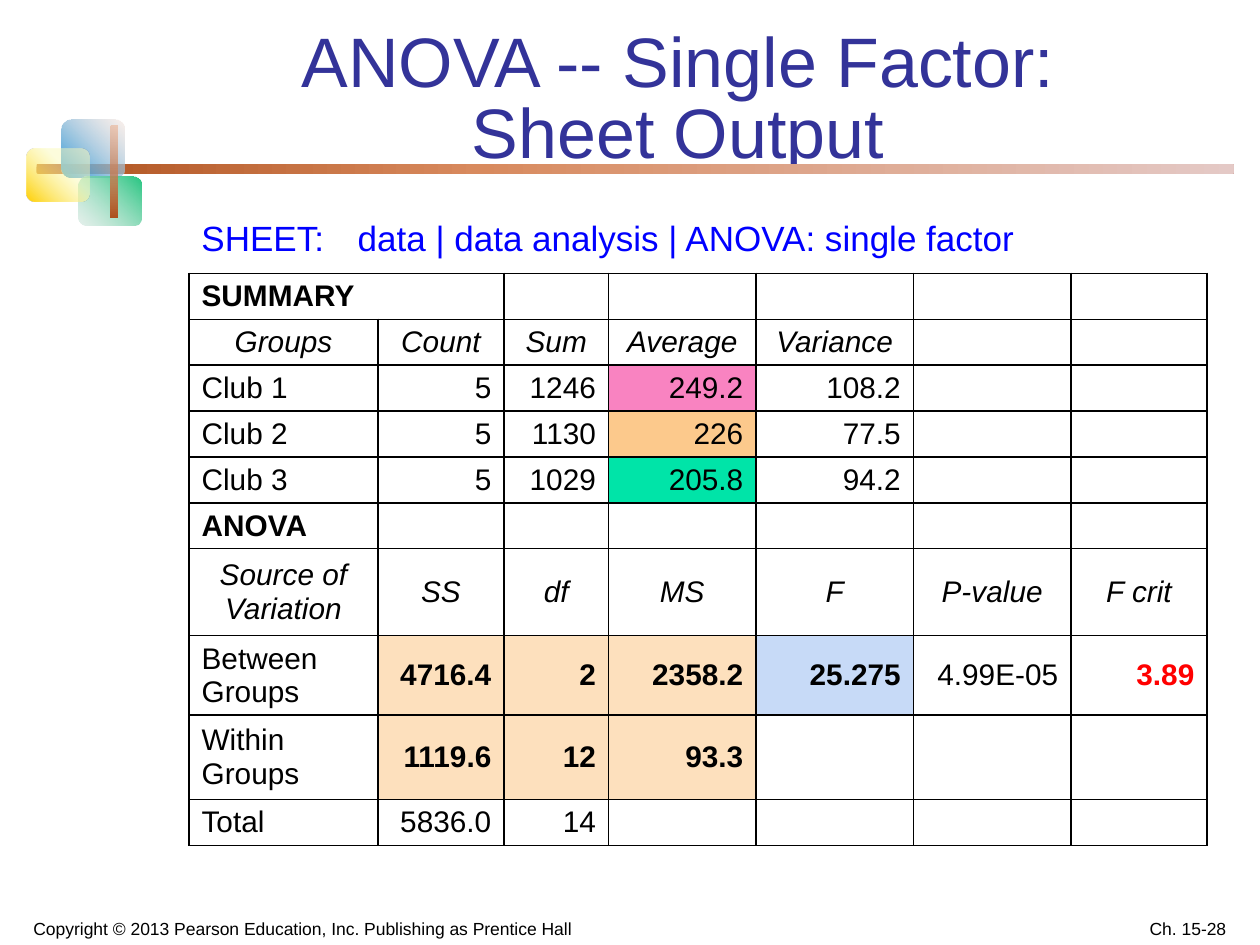
from lxml import etree
from pptx import Presentation
from pptx.dml.color import RGBColor
from pptx.enum.shapes import MSO_SHAPE as Shape
from pptx.enum.text import MSO_ANCHOR as Anchor, PP_ALIGN as Align
from pptx.oxml import parse_xml
from pptx.oxml.ns import nsdecls, qn
from pptx.util import Inches, Pt

# left, top, width, height, angle, stops of (place, colour, opacity)
ORNAMENT = [
    (0.29, 1.3, 9.5, 0.08, 0,
     [(0, "AE511E", 100), (37, "D88A5E", 100), (100, "E4C9C6", 100)]),
    (0.49, 0.95, 0.5, 0.46, 315, [(0, "2895D8", 100), (100, "F7E2D9", 50)]),
    (0.62, 1.4, 0.5, 0.39, 135, [(0, "25C580", 100), (100, "CCE2D9", 50)]),
    (0.21, 1.18, 0.5, 0.42, 315, [(0, "FFCF01", 100), (63, "FCFCBC", 50)]),
    (0.88, 1, 0.05, 0.73, 270, [(0, "AE511E", 100), (100, "EAA782", 50)]),
]
ROWS = [
    ["SUMMARY"],
    ["Groups", "Count", "Sum", "Average", "Variance"],
    ["Club 1", "5", "1246", "249.2", "108.2"],
    ["Club 2", "5", "1130", "226", "77.5"],
    ["Club 3", "5", "1029", "205.8", "94.2"],
    ["ANOVA"],
    ["Source of Variation", "SS", "df", "MS", "F", "P-value", "F crit"],
    ["Between Groups", "4716.4", "2", "2358.2", "25.275", "4.99E-05", "3.89"],
    ["Within\nGroups", "1119.6", "12", "93.3"],
    ["Total", "5836.0", "14"],
]
WIDTHS = [1.5, 1, 0.83, 1.17, 1.25, 1.25, 1.08]
TALL = {6: 0.69, 7: 0.63, 8: 0.67}
LOW = 2.55 / 7  # the seven one-line rows share this height
SECTIONS, HEADS = (0, 5), (1, 6)
CRIT = (7, 6)
FILLS = {(2, 3): "F983C1", (3, 3): "FCC98C", (4, 3): "00E4A8", (7, 4): "C7DAF7"}
FILLS.update({(r, c): "FDE0BD" for r in (7, 8) for c in (1, 2, 3)})


def color(code):
    return RGBColor.from_string(code)


def place(shape, box):
    shape.left, shape.top, shape.width, shape.height = map(Inches, box)


def style(frame, size, code, align, bold=False, italic=False):
    for para in frame.paragraphs:
        para.alignment = align
        for run in para.runs:
            font = run.font
            font.name, font.size = "Arial", Pt(size)
            font.bold, font.italic = bold, italic
            font.color.rgb = color(code)


def shade(shape, angle, stops):
    """Give the shape a gradient whose stops may be see-through."""
    marks = "".join(
        f'<a:gs pos="{pos * 1000}"><a:srgbClr val="{code}">'
        f'<a:alpha val="{alpha * 1000}"/></a:srgbClr></a:gs>'
        for pos, code, alpha in stops)
    grad = parse_xml(f'<a:gradFill {nsdecls("a")} rotWithShape="1"><a:gsLst>{marks}'
                     f'</a:gsLst><a:lin ang="{angle * 60000}" scaled="0"/></a:gradFill>')
    shape._element.spPr.find(qn("a:prstGeom")).addnext(grad)


def add_ornament(slide):
    for *box, angle, stops in ORNAMENT:
        part = slide.shapes.add_shape(Shape.ROUNDED_RECTANGLE, *map(Inches, box))
        part.shadow.inherit = False
        part.line.fill.background()
        shade(part, angle, stops)


def add_title(slide, box):
    title = slide.shapes.title
    place(title, box)
    frame = title.text_frame
    frame.text = "ANOVA -- Single Factor:\nSheet Output"
    frame.vertical_anchor = Anchor.TOP
    style(frame, 40, "333399", Align.CENTER)
    for para in frame.paragraphs:
        para.line_spacing = 0.85


def add_text(slide, box, text, size, code, align, anchor):
    frame = slide.shapes.add_textbox(*map(Inches, box)).text_frame
    frame.word_wrap = True
    frame.vertical_anchor = anchor
    frame.text = text
    style(frame, size, code, align)
    return frame


def add_menu(slide, box):
    frame = add_text(slide, box, "SHEET:\tdata | data analysis | ANOVA: single factor",
                     20, "0000FF", Align.LEFT, Anchor.TOP)
    props = frame.paragraphs[0]._p.get_or_add_pPr()
    tabs = etree.SubElement(props, qn("a:tabLst"))
    etree.SubElement(tabs, qn("a:tab"), pos=str(Inches(1.24)), algn="l")


def rule(cell):
    """Draw a thin black line on each side of the cell."""
    props = cell._tc.get_or_add_tcPr()
    for spot, side in enumerate(("lnL", "lnR", "lnT", "lnB")):
        props.insert(spot, parse_xml(
            f'<a:{side} {nsdecls("a")} w="{Pt(1)}"><a:solidFill>'
            f'<a:srgbClr val="000000"/></a:solidFill></a:{side}>'))


def fill_cell(cell, row, col, text):
    cell.vertical_anchor = Anchor.MIDDLE
    cell.margin_top = cell.margin_bottom = Inches(0.03)
    cell.text = text
    code = FILLS.get((row, col))
    if code:
        cell.fill.solid()
        cell.fill.fore_color.rgb = color(code)
    else:
        cell.fill.background()
    head = row in HEADS
    align = Align.CENTER if head else Align.RIGHT if col else Align.LEFT
    bold = row in SECTIONS or (row, col) == CRIT or (row in (7, 8) and bool(code))
    ink = "FF0000" if (row, col) == CRIT else "000000"
    style(cell.text_frame, 17, ink, align, bold, head)
    rule(cell)


def add_results(slide, left, top):
    heights = [TALL.get(r, LOW) for r in range(len(ROWS))]
    box = left, top, sum(WIDTHS), sum(heights)
    table = slide.shapes.add_table(len(ROWS), len(WIDTHS), *map(Inches, box)).table
    table.first_row = table.horz_banding = False
    for col, width in zip(table.columns, WIDTHS):
        col.width = Inches(width)
    for r, (texts, height) in enumerate(zip(ROWS, heights)):
        table.rows[r].height = Inches(height)
        for c in range(len(WIDTHS)):
            fill_cell(table.cell(r, c), r, c, texts[c] if c < len(texts) else "")
    table.cell(0, 0).merge(table.cell(0, 1))


def add_footer(slide, top, height):
    parts = [
        (0, 4.8, "Copyright © 2013 Pearson Education, Inc. Publishing as Prentice Hall",
         Align.CENTER),
        (7.5, 2.33, "Ch. 15-28", Align.RIGHT),
    ]
    for left, width, text, align in parts:
        add_text(slide, (left, top, width, height), text, 10, "000000", align,
                 Anchor.BOTTOM)


def main():
    deck = Presentation()
    deck.slide_width, deck.slide_height = Inches(10), Inches(7.5)
    slide = deck.slides.add_slide(deck.slide_layouts[5])
    add_ornament(slide)
    add_title(slide, (1.17, 0.19, 8.42, 1.17))
    add_menu(slide, (1.5, 1.67, 6.68, 0.44))
    add_results(slide, 1.5, 2.17)
    add_footer(slide, 7.15, 0.35)
    deck.save("out.pptx")


if __name__ == "__main__":
    main()
